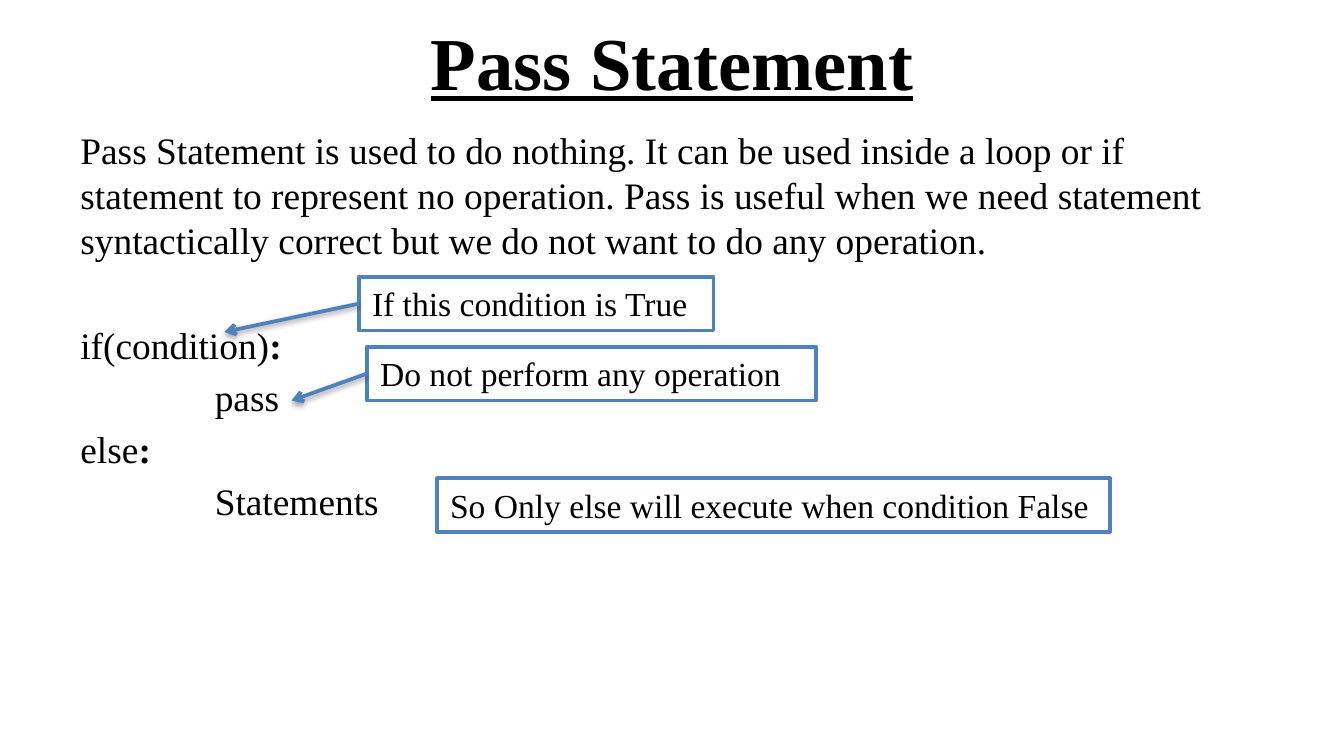
from lxml.etree import SubElement
from pptx import Presentation
from pptx.dml.color import RGBColor
from pptx.enum.shapes import MSO_CONNECTOR, MSO_SHAPE
from pptx.enum.text import MSO_ANCHOR, MSO_AUTO_SIZE, PP_ALIGN
from pptx.oxml import parse_xml
from pptx.oxml.ns import nsdecls, qn
from pptx.util import Inches, Pt

COLORS = {"text": "000000", "box": "FFFFFF", "accent": "4F81BD"}
FONT = "Times New Roman"
BODY = [
    (0, [("Pass Statement is used to do nothing. It can be used inside a loop or if "
          "statement to represent no operation. Pass is useful when we need statement "
          "syntactically correct but we do not want to do any operation.", False)]),
    (32, [("if(condition)", False), (":", True)]),
    (4, [("\tpass", False)]),
    (4, [("else", False), (":", True)]),
    (4, [("\tStatements", False)]),
]
CALLOUTS = [
    ("If this condition is True", 2.67, 2.06, 2.64, (1.67, 2.47)),
    ("Do not perform any operation", 2.73, 2.58, 3.34, (2.17, 2.98)),
    ("So Only else will execute when condition False", 3.25, 3.56, 5.01, None),
]
CALLOUT_HEIGHT = 0.4


def color(name):
    """Return the named colour."""
    return RGBColor.from_string(COLORS[name])


def add_run(paragraph, text, size, bold=False, underline=False):
    """Add one formatted run to a paragraph."""
    run = paragraph.add_run()
    run.text = text
    run.font.name = FONT
    run.font.size = Pt(size)
    run.font.bold = bold
    run.font.underline = underline
    run.font.color.rgb = color("text")


def add_tab_stop(paragraph, position):
    """Add a left tab stop to a paragraph."""
    tabs = SubElement(paragraph._p.get_or_add_pPr(), qn("a:tabLst"))
    SubElement(tabs, qn("a:tab"), pos=str(Inches(position)), algn="l")


def add_text_box(slide, left, top, width, height):
    """Add a wrapping text box and return its text frame."""
    shape = slide.shapes.add_textbox(Inches(left), Inches(top), Inches(width), Inches(height))
    shape.text_frame.word_wrap = True
    return shape.text_frame


def add_title(slide):
    """Add the centred, underlined title."""
    frame = add_text_box(slide, 0.5, -0.02, 9, 0.94)
    frame.vertical_anchor = MSO_ANCHOR.MIDDLE
    paragraph = frame.paragraphs[0]
    paragraph.alignment = PP_ALIGN.CENTER
    add_run(paragraph, "Pass Statement", 40, bold=True, underline=True)


def add_body(slide):
    """Add the explanation and the code example."""
    frame = add_text_box(slide, 0.5, 0.9, 9, 3.71)
    for index, (space_before, runs) in enumerate(BODY):
        paragraph = frame.add_paragraph() if index else frame.paragraphs[0]
        add_tab_stop(paragraph, 1)
        paragraph.space_before = Pt(space_before)
        paragraph.line_spacing = Pt(24)
        for text, bold in runs:
            add_run(paragraph, text, 20, bold)


def add_callout(slide, text, left, top, width):
    """Add an outlined box with one line of text."""
    shape = slide.shapes.add_shape(
        MSO_SHAPE.RECTANGLE, Inches(left), Inches(top), Inches(width), Inches(CALLOUT_HEIGHT))
    shape.shadow.inherit = False
    shape.fill.solid()
    shape.fill.fore_color.rgb = color("box")
    shape.line.color.rgb = color("accent")
    shape.line.width = Pt(2)
    frame = shape.text_frame
    frame.word_wrap = False
    frame.auto_size = MSO_AUTO_SIZE.SHAPE_TO_FIT_TEXT
    frame.vertical_anchor = MSO_ANCHOR.TOP
    paragraph = frame.paragraphs[0]
    paragraph.alignment = PP_ALIGN.LEFT
    add_run(paragraph, text, 18)


def add_arrow(slide, start, end):
    """Add a shadowed arrow from start to end."""
    points = [Inches(value) for value in (*start, *end)]
    connector = slide.shapes.add_connector(MSO_CONNECTOR.STRAIGHT, *points)
    connector.line.color.rgb = color("accent")
    connector.line.width = Pt(2)
    SubElement(connector.line._get_or_add_ln(), qn("a:tailEnd"), type="arrow")
    connector._element.spPr.append(parse_xml(
        f'<a:effectLst {nsdecls("a")}>'
        '<a:outerShdw blurRad="40000" dist="20000" dir="5400000" rotWithShape="0">'
        f'<a:srgbClr val="{COLORS["text"]}"><a:alpha val="38000"/></a:srgbClr>'
        '</a:outerShdw></a:effectLst>'))


def main():
    """Build and save the slide."""
    presentation = Presentation()
    presentation.slide_width = Inches(10)
    presentation.slide_height = Inches(10 * 9 / 16)
    slide = presentation.slides.add_slide(presentation.slide_layouts[6])
    add_title(slide)
    add_body(slide)
    for text, left, top, width, target in CALLOUTS:
        add_callout(slide, text, left, top, width)
        if target:
            add_arrow(slide, (left, top + CALLOUT_HEIGHT / 2), target)
    presentation.save("out.pptx")


if __name__ == "__main__":
    main()
